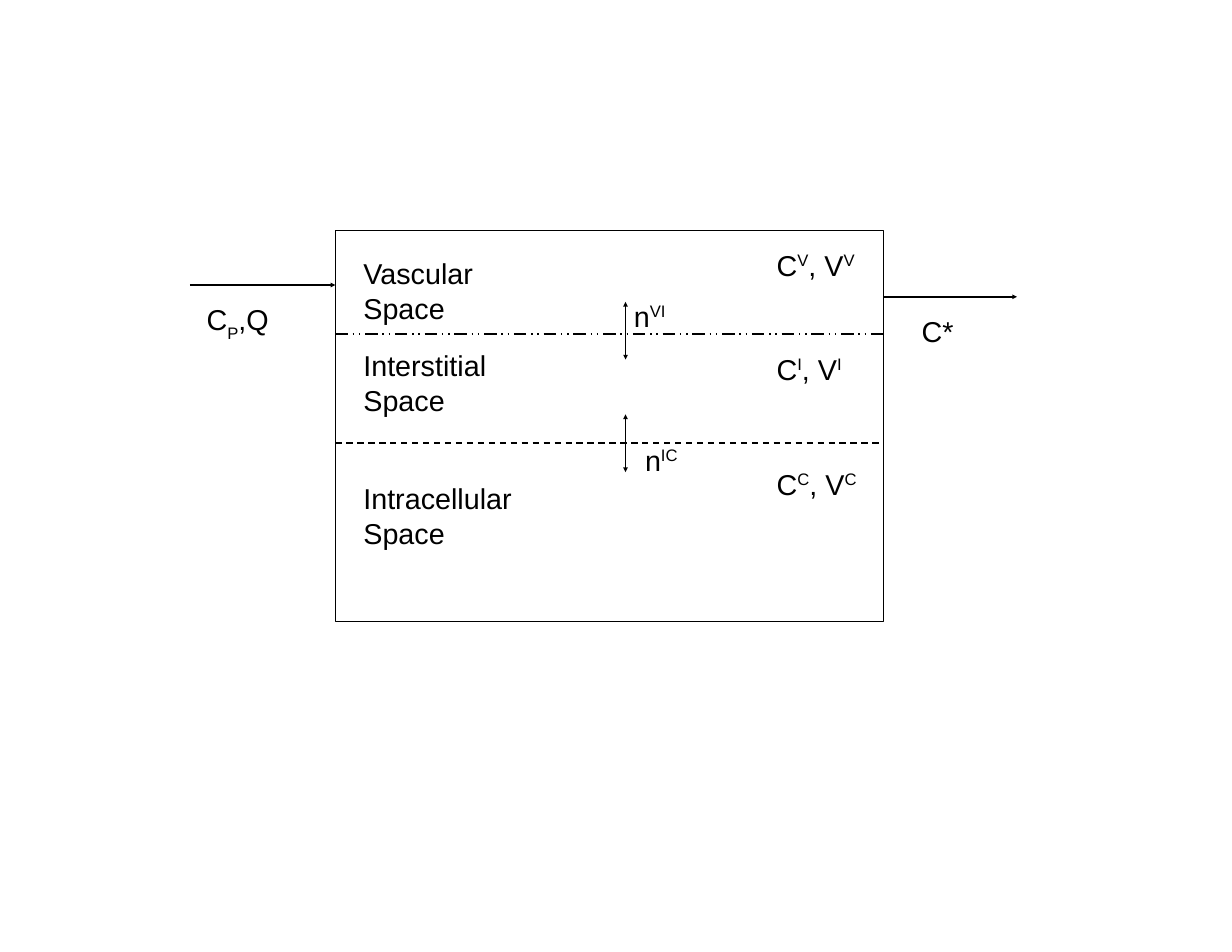
import dataclasses

import pptx
import pptx.dml.color
import pptx.enum.dml
import pptx.enum.shapes
import pptx.enum.text
import pptx.oxml.ns
import pptx.util
from lxml import etree

Inches = pptx.util.Inches
DASHES = pptx.enum.dml.MSO_LINE


@dataclasses.dataclass(frozen=True)
class Theme:
    ink: pptx.dml.color.RGBColor = pptx.dml.color.RGBColor(0, 0, 0)
    paper: pptx.dml.color.RGBColor = pptx.dml.color.RGBColor(255, 255, 255)
    font: str = "Arial"
    label_size: float = 36.9
    hairline: int = 0
    script_shift: int = 33000


THEME = Theme()


def add_line(slide, start, end, heads=(), dash=None):
    """Draw a hairline; heads lists the ends that carry an arrowhead."""
    line = slide.shapes.add_connector(
        pptx.enum.shapes.MSO_CONNECTOR.STRAIGHT,
        *(Inches(value) for value in (*start, *end)))
    line.line.color.rgb = THEME.ink
    line.line.width = pptx.util.Pt(THEME.hairline)
    if dash:
        line.line.dash_style = dash
    properties = line._element.spPr
    outline = line.line._get_or_add_ln()
    for head in heads:
        etree.SubElement(outline, pptx.oxml.ns.qn(f"a:{head}"), type="triangle")
    etree.SubElement(properties, pptx.oxml.ns.qn("a:effectLst"))


def add_label(slide, left, top, width, height, *pieces):
    """Write pieces of text; a (text, sign) pair is raised (1) or lowered (-1)."""
    label = slide.shapes.add_textbox(*map(Inches, (left, top, width, height)))
    frame = label.text_frame
    frame.word_wrap = True
    frame.auto_size = pptx.enum.text.MSO_AUTO_SIZE.SHAPE_TO_FIT_TEXT
    for piece in pieces:
        text, sign = (piece, 0) if isinstance(piece, str) else piece
        run = frame.paragraphs[0].add_run()
        run.text = text
        run.font.name = THEME.font
        run.font.size = pptx.util.Pt(THEME.label_size)
        run.font.color.rgb = THEME.ink
        if sign:
            run._r.get_or_add_rPr().set("baseline", str(sign * THEME.script_shift))


def add_tissue(slide, left, top, width, height):
    # Outer wall
    wall = slide.shapes.add_shape(
        pptx.enum.shapes.MSO_SHAPE.RECTANGLE,
        *map(Inches, (left, top, width, height)))
    wall.shadow.inherit = False
    wall.fill.solid()
    wall.fill.fore_color.rgb = THEME.paper
    wall.line.color.rgb = THEME.ink
    wall.line.width = pptx.util.Pt(THEME.hairline)

    # Membranes between the spaces
    for depth, dash in ((1.85, DASHES.DASH_DOT_DOT), (3.8, DASHES.DASH)):
        add_line(slide, (left, top + depth), (left + width, top + depth), dash=dash)

    # Spaces with their concentration and volume
    spaces = (
        ("Vascular Space", 0.41, "V", 0.26),
        ("Interstitial Space", 2.06, "I", 2.12),
        ("Intracellular Space", 4.43, "C", 4.17),
    )
    for space, name_depth, index, symbol_depth in spaces:
        add_label(slide, left + 0.4, top + name_depth, 3.19, 1.3, space)
        add_label(slide, left + 7.78, top + symbol_depth, 1.8, 0.7,
                  "C", (index, 1), ", V", (index, 1))

    # Exchange across each membrane
    exchange_x = left + 5.18
    exchanges = (("VI", 1.28, 0.05, 1.17), ("IC", 3.29, 0.25, 3.74))
    for index, arrow_depth, label_gap, label_depth in exchanges:
        arrow_top = top + arrow_depth
        add_line(slide, (exchange_x, arrow_top), (exchange_x, arrow_top + 1.03),
                 heads=("headEnd", "tailEnd"))
        add_label(slide, exchange_x + label_gap, top + label_depth, 1, 0.7,
                  "n", (index, 1))


def add_flow(slide, left, top, length, label_shift, label_width, *symbol):
    """Draw a flow arrow with its symbol below."""
    add_line(slide, (left, top), (left + length, top), heads=("tailEnd",))
    add_label(slide, left + label_shift, top + 0.25, label_width, 0.7, *symbol)


def main():
    deck = pptx.Presentation()
    deck.slide_width, deck.slide_height = Inches(22), Inches(17)
    slide = deck.slides.add_slide(deck.slide_layouts[6])

    left, top, width, height = 5.99, 4.11, 9.78, 6.99
    add_tissue(slide, left, top, width, height)

    # Inflow and outflow
    add_flow(slide, left - 2.6, top + 0.98, 2.6, 0.2, 1.8, "C", ("P", -1), ",Q")
    add_flow(slide, left + width, top + 1.19, 2.39, 0.59, 1, "C*")

    deck.save("out.pptx")


if __name__ == "__main__":
    main()
